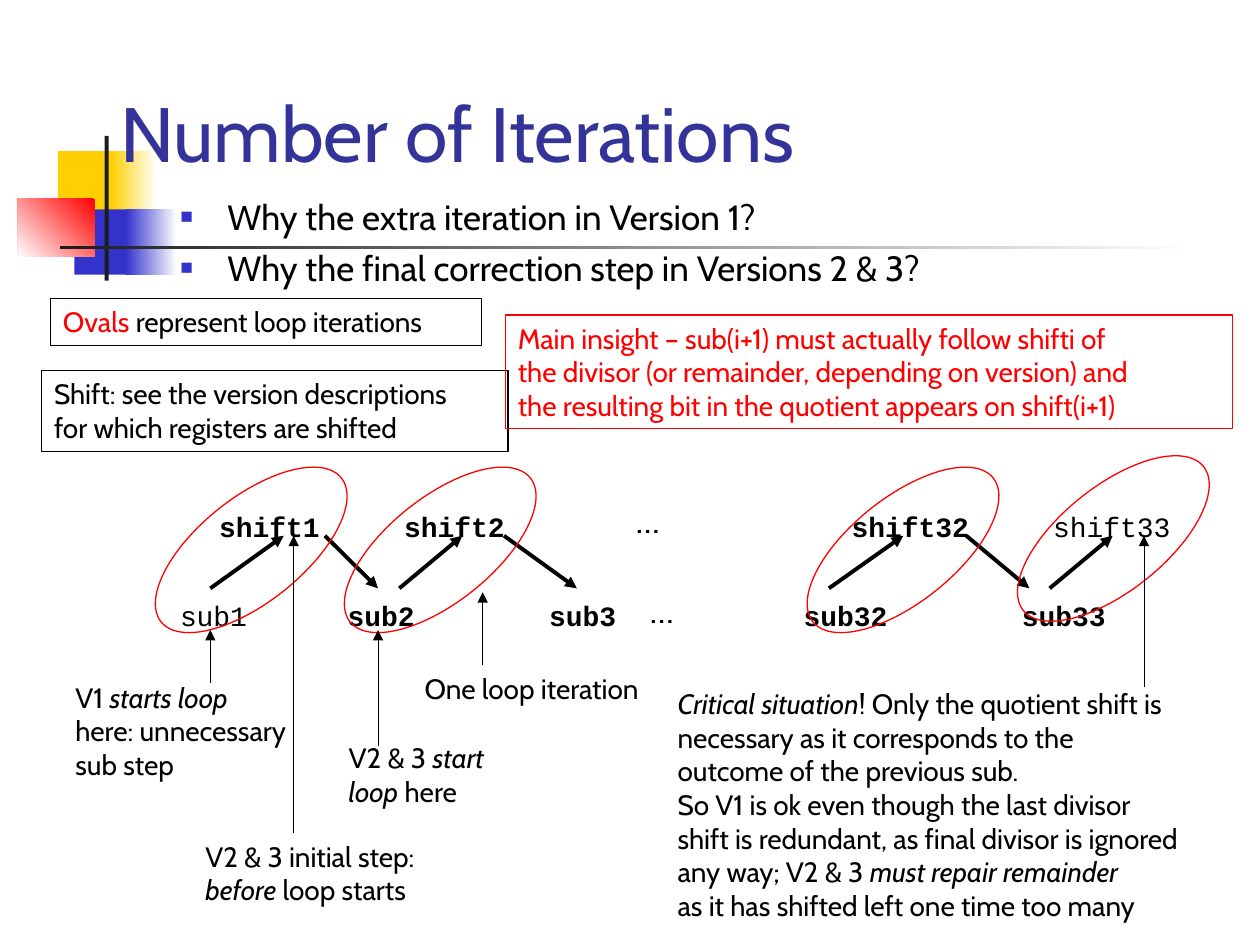
"""Build the slide on the number of iterations in three division versions."""
from dataclasses import dataclass, field
from typing import Any

from lxml.etree import SubElement
from pptx import Presentation
from pptx.dml.color import RGBColor
from pptx.enum.shapes import MSO_CONNECTOR, MSO_SHAPE
from pptx.enum.text import MSO_ANCHOR, MSO_AUTO_SIZE, PP_ALIGN
from pptx.oxml.ns import qn
from pptx.util import Cm, Pt

COLORS = {
    "black": "000000", "red": "FF0000", "white": "FFFFFF", "yellow": "FFCF01",
    "blue": "3333CC", "ink": "1C1C1C", "title": "333399",
}
NOTE = {"size": Pt(16), "name": "Cabin", "bold": False, "italic": False}
EMPHASIS = NOTE | {"italic": True}
BULLET = NOTE | {"size": Pt(20)}
HEADING = NOTE | {"size": Pt(44)}
STEP = NOTE | {"name": "Courier New"}
BOLD_STEP = STEP | {"bold": True}
FRAME = {"word_wrap": True, "auto_size": MSO_AUTO_SIZE.NONE, "vertical_anchor": MSO_ANCHOR.TOP}
TITLE_FRAME = FRAME | {
    "margin_left": Cm(0.18), "margin_right": Cm(0.18),
    "margin_top": Cm(0.08), "margin_bottom": Cm(0.08),
}


@dataclass
class Box:
    left: float
    top: float
    width: float
    height: float


@dataclass
class Words:
    text: str
    style: dict[str, Any] = field(default_factory=lambda: NOTE)
    color: str = "black"


@dataclass
class Ornament:
    box: Box
    color: str
    fade_to: str = ""
    angle: int = 180


@dataclass
class Note:
    box: Box
    lines: list[list[Words]]
    border: str = ""


@dataclass
class StepRow:
    top: float
    steps: list[tuple[float, Words]]


ORNAMENTS = [
    Ornament(Box(1.17, 3.05, 1.22, 1.32), "yellow"),
    Ornament(Box(2.24, 3.05, 0.91, 1.32), "white", "yellow"),
    Ornament(Box(1.5, 4.22, 1.17, 1.32), "blue"),
    Ornament(Box(2.54, 4.22, 1.02, 1.32), "white", "blue"),
    Ornament(Box(0.36, 4.01, 1.55, 1.17), "red", "white", 225),
    Ornament(Box(2.11, 2.74, 0.08, 2.92), "ink"),
    Ornament(Box(1.22, 4.95, 22.86, 0.08), "white", "ink"),
]
QUESTIONS = ["Why the extra iteration in Version 1?", "Why the final correction step in Versions 2 & 3?"]
STEP_WIDTH, STEP_HEIGHT, ELLIPSIS_RISE = 3, 0.94, 0.21
STEP_ROWS = [
    StepRow(10.14, [
        (4.17, Words("shift1", BOLD_STEP)), (7.9, Words("shift2", BOLD_STEP)),
        (12.57, Words("…", BULLET)),
        (16.92, Words("shift32", BOLD_STEP)), (20.98, Words("shift33", STEP))]),
    StepRow(11.94, [
        (3.38, Words("sub1", STEP)), (6.76, Words("sub2", BOLD_STEP)),
        (10.82, Words("sub3", BOLD_STEP)), (12.85, Words("…", BULLET)),
        (15.95, Words("sub32", BOLD_STEP)), (20.35, Words("sub33", BOLD_STEP))]),
]
SHIFT_Y, SUB_Y = 10.8, 11.86
SUB_TO_SHIFT = [(4.24, 5.72), (8.05, 9.32), (16.71, 18.21), (21.16, 22.43)]
SHIFT_TO_SUB = [(6.55, 7.62), (10.16, 11.63), (19.48, 20.75)]
ITERATIONS = [(2.74, 10.03), (6.55, 10.03), (15.88, 10.03), (20.12, 9.8)]
POINTERS = [
    (23.06, 13.84, SHIFT_Y), (7.62, 15.04, 12.7), (4.24, 13.77, 12.7),
    (5.92, 16.79, SHIFT_Y), (9.73, 13.41, 11.94),
]
NOTES = [
    Note(Box(1.27, 13.59, 6.15, 2.29), [
        [Words("V1 "), Words("starts loop", EMPHASIS)],
        [Words("here: unnecessary")], [Words("sub step")]]),
    Note(Box(13.41, 13.72, 11.99, 5), [
        [Words("Critical situation", EMPHASIS), Words("! Only the quotient shift is")],
        [Words("necessary as it corresponds to the")],
        [Words("outcome of the previous sub.")],
        [Words("So V1 is ok even though the last divisor")],
        [Words("shift is redundant, as final divisor is ignored")],
        [Words("any way; V2 & 3 "), Words("must repair remainder", EMPHASIS)],
        [Words("as it has shifted left one time too many")]]),
    Note(Box(6.78, 14.81, 4.88, 1.63), [
        [Words("V2 & 3 "), Words("start", EMPHASIS)],
        [Words("loop", EMPHASIS), Words(" here")]]),
    Note(Box(3.89, 16.79, 5.21, 1.63), [
        [Words("V2 & 3 initial step:")],
        [Words("before", EMPHASIS), Words(" loop starts")]]),
    Note(Box(8.31, 13.41, 5.33, 0.94), [[Words("One loop iteration")]]),
    Note(Box(1.02, 6.02, 8.69, 0.94), [
        [Words("Ovals ", color="red"), Words("represent loop iterations")]], "black"),
    Note(Box(0.84, 7.47, 9.4, 1.63), [
        [Words("Shift: see the version descriptions")],
        [Words("for which registers are shifted")]], "black"),
    Note(Box(10.19, 6.35, 14.66, 2.29), [
        [Words("Main insight – sub(i+1) must actually follow shifti of", color="red")],
        [Words("the divisor (or remainder, depending on version) and", color="red")],
        [Words("the resulting bit in the quotient appears on shift(i+1)", color="red")]], "red"),
]


def rgb(color: str) -> RGBColor:
    return RGBColor.from_string(COLORS[color])


def lengths(box: Box) -> list[Cm]:
    return [Cm(side) for side in (box.left, box.top, box.width, box.height)]


def apply(target: Any, values: dict[str, Any]) -> None:
    for attribute, value in values.items():
        setattr(target, attribute, value)


def write(paragraph: Any, line: list[Words]) -> None:
    paragraph.alignment = PP_ALIGN.LEFT
    for words in line:
        run = paragraph.add_run()
        run.text = words.text
        apply(run.font, words.style)
        run.font.color.rgb = rgb(words.color)


def place(placeholder: Any, box: Box, frame: dict[str, Any]) -> None:
    apply(placeholder, dict(zip(("left", "top", "width", "height"), lengths(box))))
    apply(placeholder.text_frame, frame)


def next_paragraph(frame: Any) -> Any:
    first = frame.paragraphs[0]
    return first if not first.runs else frame.add_paragraph()


def add_question(frame: Any, question: str) -> None:
    paragraph = next_paragraph(frame)
    write(paragraph, [Words(question, BULLET)])
    apply(paragraph, {"space_before": Pt(5), "space_after": Pt(0), "line_spacing": 1.0})
    properties = paragraph._p.get_or_add_pPr()
    properties.set("marL", str(int(Cm(0.95))))
    properties.set("indent", str(int(Cm(-0.95))))
    bullet_color = SubElement(properties, qn("a:buClr"))
    SubElement(bullet_color, qn("a:srgbClr"), {"val": COLORS["blue"]})
    SubElement(properties, qn("a:buSzPct"), {"val": "60000"})
    SubElement(properties, qn("a:buFont"), {"typeface": "Arial"})
    SubElement(properties, qn("a:buChar"), {"char": "■"})


def add_ornament(slide: Any, ornament: Ornament) -> None:
    block = slide.shapes.add_shape(MSO_SHAPE.RECTANGLE, *lengths(ornament.box))
    block.shadow.inherit = False
    block.line.fill.background()
    if ornament.fade_to:
        block.fill.gradient()
        block.fill.gradient_angle = ornament.angle
        for stop, color in zip(block.fill.gradient_stops, (ornament.color, ornament.fade_to)):
            stop.color.rgb = rgb(color)
    else:
        block.fill.solid()
        block.fill.fore_color.rgb = rgb(ornament.color)


def add_outline(slide: Any, kind: MSO_SHAPE, box: Box, color: str) -> Any:
    outline = slide.shapes.add_shape(kind, *lengths(box))
    outline.shadow.inherit = False
    outline.fill.background()
    outline.line.color.rgb = rgb(color)
    outline.line.width = Pt(0.75)
    return outline


def add_arrow(slide: Any, start: tuple[float, float], end: tuple[float, float], weight: float) -> None:
    arrow = slide.shapes.add_connector(MSO_CONNECTOR.STRAIGHT, *map(Cm, start + end))
    arrow.line.color.rgb = rgb("black")
    arrow.line.width = Pt(weight)
    SubElement(arrow.line._get_or_add_ln(), qn("a:tailEnd"), {"type": "triangle"})
    SubElement(arrow.element.spPr, qn("a:effectLst"))


def add_note(slide: Any, note: Note) -> None:
    if note.border:
        holder = add_outline(slide, MSO_SHAPE.RECTANGLE, note.box, note.border)
    else:
        holder = slide.shapes.add_textbox(*lengths(note.box))
    apply(holder.text_frame, FRAME)
    for line in note.lines:
        write(next_paragraph(holder.text_frame), line)


def add_step_row(slide: Any, row: StepRow) -> None:
    for left, step in row.steps:
        top = row.top - ELLIPSIS_RISE if step.text == "…" else row.top
        add_note(slide, Note(Box(left, top, STEP_WIDTH, STEP_HEIGHT), [[step]]))


def main() -> None:
    deck = Presentation()
    apply(deck, {"slide_width": Cm(25.4), "slide_height": Cm(19.05)})
    slide = deck.slides.add_slide(deck.slide_layouts[1])
    title, body = slide.placeholders
    for ornament in ORNAMENTS:
        add_ornament(slide, ornament)
    for placeholder in (title, body):
        slide.shapes.element.append(placeholder.element)
    place(title, Box(2.24, 1.65, 14.66, 2.08), TITLE_FRAME)
    write(title.text_frame.paragraphs[0], [Words("Number of Iterations", HEADING, "title")])
    place(body, Box(3.38, 3.81, 21.59, 2.2), FRAME)
    for question in QUESTIONS:
        add_question(body.text_frame, question)
    for row in STEP_ROWS:
        add_step_row(slide, row)
    for sub_x, shift_x in SUB_TO_SHIFT:
        add_arrow(slide, (sub_x, SUB_Y), (shift_x, SHIFT_Y), 2.25)
    for shift_x, sub_x in SHIFT_TO_SUB:
        add_arrow(slide, (shift_x, SHIFT_Y), (sub_x, SUB_Y), 2.25)
    for left, top in ITERATIONS:
        add_outline(slide, MSO_SHAPE.OVAL, Box(left, top, 4.65, 2.11), "red").rotation = 321.4
    for x, start, end in POINTERS:
        add_arrow(slide, (x, start), (x, end), 0.25)
    for note in NOTES:
        add_note(slide, note)
    deck.save("out.pptx")


if __name__ == "__main__":
    main()
